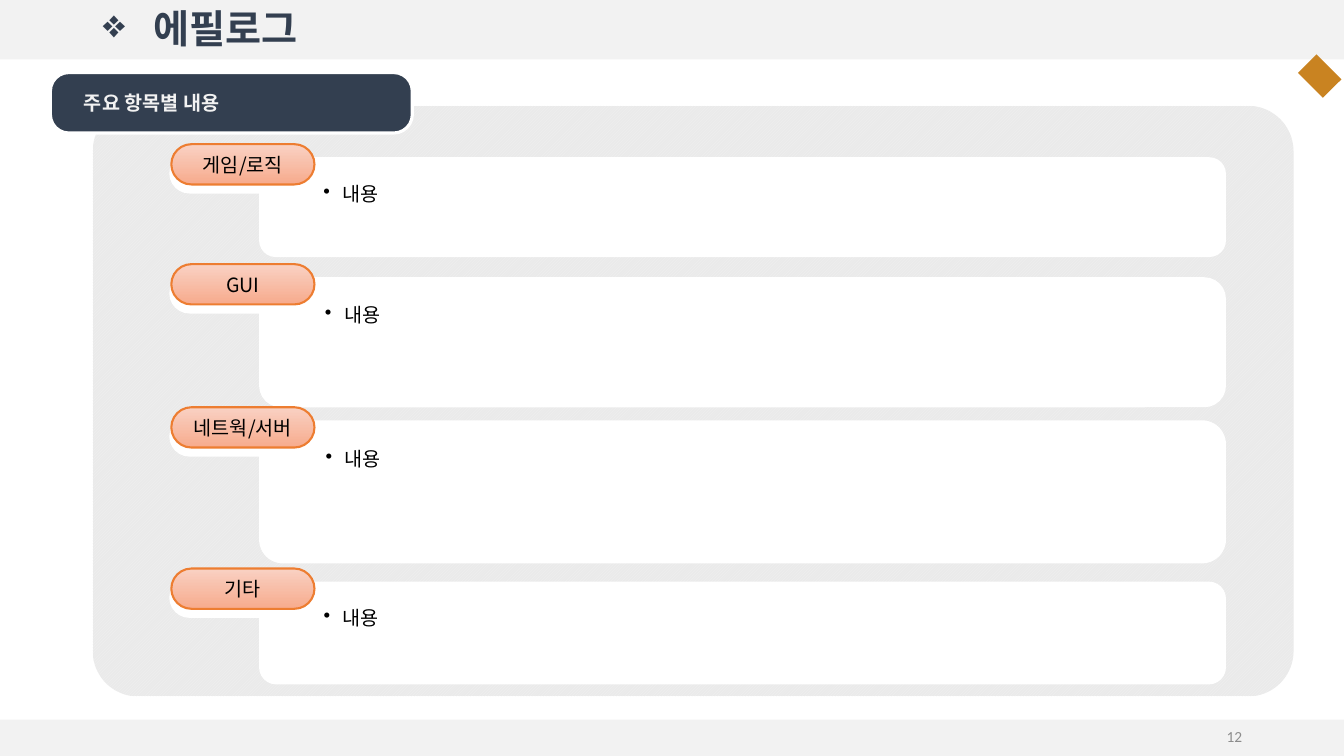
from dataclasses import dataclass

from lxml.etree import SubElement
from pptx import Presentation
from pptx.dml.color import RGBColor
from pptx.enum.dml import MSO_PATTERN
from pptx.enum.shapes import MSO_SHAPE
from pptx.enum.text import MSO_ANCHOR, MSO_AUTO_SIZE, PP_ALIGN
from pptx.oxml.ns import qn
from pptx.util import Inches, Pt


@dataclass(frozen=True)
class Theme:
    navy: str = "333F50"
    band: str = "F2F2F2"
    board: str = "EAEAEA"
    white: str = "FFFFFF"
    black: str = "000000"
    gold: str = "C98321"
    orange: str = "ED7D31"
    pill_top: str = "F9D1C3"
    pill_bottom: str = "F7AB8D"
    gray: str = "8C8C8C"
    title_size: int = 28
    body_size: int = 14
    number_size: int = 11
    korean: str = "Noto Sans CJK KR"
    latin: str = "Calibri"


theme = Theme()
presentation = Presentation()
presentation.slide_width = Inches(13.33)
presentation.slide_height = Inches(7.5)
slide = presentation.slides.add_slide(presentation.slide_layouts[5])
column = presentation.slide_width / 100
row = presentation.slide_height / 100


def add_box(kind, left, top, width, height, color):
    """Add a plain shape; lengths are percent of the slide's width and height."""
    shape = slide.shapes.add_shape(kind, round(left * column), round(top * row),
                                   round(width * column), round(height * row))
    shape.shadow.inherit = False
    shape.fill.solid()
    shape.fill.fore_color.rgb = RGBColor.from_string(color)
    shape.line.fill.background()
    return shape


def write(shape, text, size, color, font=theme.korean, bold=False, align=PP_ALIGN.LEFT,
          anchor=MSO_ANCHOR.MIDDLE, insets=(0.1, 0.05, 0.1, 0.05),
          bullet=None, indent=0, spacing=1.0):
    """Write one run; insets are left, top, right, bottom in inches."""
    frame = shape.text_frame
    frame.word_wrap = True
    frame.auto_size = MSO_AUTO_SIZE.NONE
    frame.vertical_anchor = anchor
    (frame.margin_left, frame.margin_top,
     frame.margin_right, frame.margin_bottom) = map(Inches, insets)
    paragraph = frame.paragraphs[0]
    paragraph.alignment = align
    paragraph.line_spacing = spacing
    if bullet:
        properties = paragraph._p.get_or_add_pPr()
        properties.set("marL", str(Inches(indent)))
        properties.set("indent", str(-Inches(indent)))
        SubElement(properties, qn("a:buChar"), char=bullet)
    run = paragraph.add_run()
    run.text = text
    run.font.name = font
    run.font.size = Pt(size)
    run.font.bold = bold
    run.font.color.rgb = RGBColor.from_string(color)
    SubElement(run._r.get_or_add_rPr(), qn("a:ea"), typeface=theme.korean)


# Bands and corner diamond
add_box(MSO_SHAPE.RECTANGLE, 0, 95.2, 100, 4.8, theme.band)
title_band = add_box(MSO_SHAPE.RECTANGLE, 0, 0, 100, 7.87, theme.band)
diamond = add_box(MSO_SHAPE.RECTANGLE, 97.22, 7.73, 1.95, 4.67, theme.gold)
diamond.rotation = 315

# Title, moved in front of its band
title = slide.shapes.title
title.left, title.top = round(6.9 * column), round(0.27 * row)
title.width, title.height = round(86.27 * column), round(7.6 * row)
write(title, "에필로그", theme.title_size, theme.navy, bold=True,
      bullet="❖", indent=0.5, spacing=0.9)
diamond._element.addnext(title._element)

# Slide number
number = slide.shapes.add_textbox(round(70.67 * column), round(94.67 * row),
                                  round(22.5 * column), round(5.33 * row))
write(number, "12", theme.number_size, theme.gray, font=theme.latin, align=PP_ALIGN.RIGHT)

# Board with its heading tab
board = add_box(MSO_SHAPE.ROUNDED_RECTANGLE, 6.9, 14, 89.35, 78.13, theme.board)
board.adjustments[0] = 0.077
board.fill.patterned()
board.fill.pattern = MSO_PATTERN.DARK_UPWARD_DIAGONAL
board.fill.fore_color.rgb = RGBColor.from_string(theme.band)
board.fill.back_color.rgb = RGBColor.from_string(theme.board)

heading = add_box(MSO_SHAPE.ROUNDED_RECTANGLE, 3.75, 9.6, 26.93, 8, theme.navy)
heading.adjustments[0] = 0.306
heading.line.color.rgb = RGBColor.from_string(theme.white)
heading.line.width = Pt(2.25)
write(heading, "주요 항목별 내용", theme.body_size, theme.band, font=theme.latin,
      bold=True, insets=(0.28, 0.05, 0.1, 0.05))

# Sections: white backing, content panel, label pill
sections = [
    ("게임/로직", 20.8, 13.2),
    ("GUI", 36.67, 17.2),
    ("네트웍/서버", 55.6, 18.93),
    ("기타", 76.93, 13.6),
]
for label, top, height in sections:
    backing = add_box(MSO_SHAPE.ROUNDED_RECTANGLE, 12.6, top - 0.53, 10.65, 5.33, theme.white)
    backing.adjustments[0] = 0.5

    panel = add_box(MSO_SHAPE.ROUNDED_RECTANGLE, 19.28, top, 71.94, height, theme.white)
    write(panel, "내용", theme.body_size, theme.black, anchor=MSO_ANCHOR.TOP,
          insets=(0.59, 0.08, 0, 0.05), bullet="•", indent=0.19, spacing=1.5)

    pill = add_box(MSO_SHAPE.ROUNDED_RECTANGLE, 12.75, top - 1.73, 10.65, 5.33, theme.pill_top)
    pill.adjustments[0] = 0.5
    pill.fill.gradient()
    pill.fill.gradient_angle = 270
    for stop, color in zip(pill.fill.gradient_stops, (theme.pill_top, theme.pill_bottom)):
        stop.color.rgb = RGBColor.from_string(color)
    pill.line.color.rgb = RGBColor.from_string(theme.orange)
    pill.line.width = Pt(1.5)
    write(pill, label, theme.body_size, theme.black, align=PP_ALIGN.CENTER,
          insets=(0, 0.05, 0, 0.05))

presentation.save("out.pptx")
